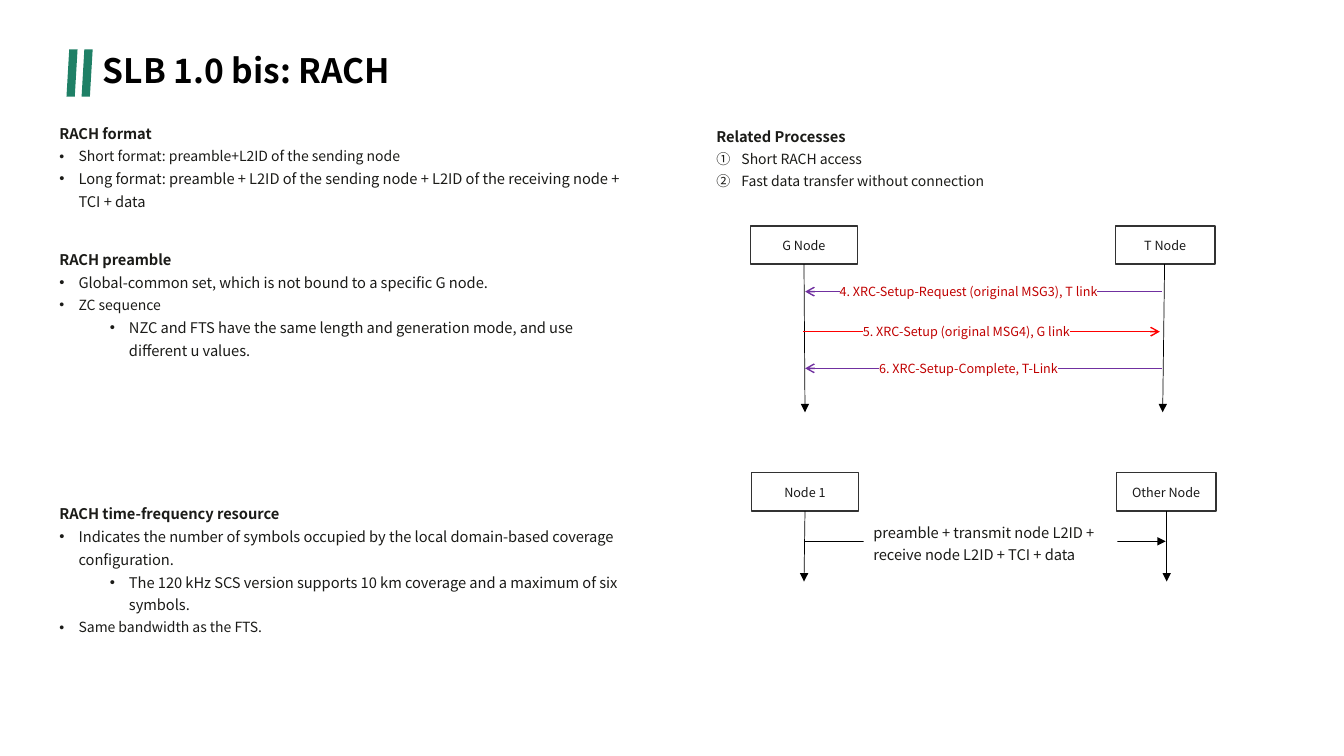
from lxml.etree import SubElement as Sub
from pptx import Presentation
from pptx.dml.color import RGBColor as RGB
from pptx.enum.shapes import MSO_CONNECTOR as LINK, MSO_SHAPE as KIND
from pptx.enum.text import MSO_ANCHOR as ANCHOR, MSO_AUTO_SIZE as AUTO, PP_ALIGN as ALIGN
from pptx.oxml.ns import qn
from pptx.util import Pt

FONT = "Noto Sans CJK SC"
GREEN = RGB(0x1F, 0x80, 0x66)
BLACK = RGB(0, 0, 0)
WHITE = RGB(0xFF, 0xFF, 0xFF)
INK = RGB(0x1B, 0x1B, 0x18)
GREY = RGB(0x32, 0x32, 0x32)
LABEL = RGB(0x19, 0x19, 0x19)
WINE = RGB(0xC0, 0, 0)
RED = RGB(0xFF, 0, 0)
PLUM = RGB(0x70, 0x30, 0xA0)
PITCH = 1.56

LEFT = [
    ("head", 10.5, 0, "RACH format"),
    ("dot", 10, 0, "Short format: preamble+L2ID of the sending node"),
    ("dot", 10.5, 0, "Long format: preamble + L2ID of the sending node + L2ID of the receiving node + TCI + data"),
    ("head", 10.5, 25, "RACH preamble"),
    ("dot", 10.5, 0, "Global-common set, which is not bound to a specific G node."),
    ("dot", 10, 0, "ZC sequence"),
    ("sub", 10.5, 0, "NZC and FTS have the same length and generation mode, and use different u values."),
    ("head", 10.5, 100, "RACH time-frequency resource"),
    ("dot", 10.5, 0, "Indicates the number of symbols occupied by the local domain-based coverage configuration."),
    ("sub", 10.5, 0, "The 120 kHz SCS version supports 10 km coverage and a maximum of six symbols."),
    ("dot", 10, 0, "Same bandwidth as the FTS."),
]
RIGHT = [
    ("head", 10.5, 0, "Related Processes"),
    ("num", 10, 0, "Short RACH access"),
    ("num", 10, 0, "Fast data transfer without connection"),
]
STYLES = {
    "head": (0, 0, 0, "buNone", {}),
    "dot": (0, 13.7, -13.7, "buChar", {"char": "•"}),
    "sub": (1, 49.7, -13.7, "buChar", {"char": "•"}),
    "num": (0, 18, -18, "buAutoNum", {"type": "circleNumDbPlain"}),
}
CALLS = [
    (47, "4. XRC-Setup-Request (original MSG3), T link", PLUM, 39, "headEnd"),
    (75.6, "5. XRC-Setup (original MSG4), G link", RED, 37.5, "tailEnd"),
    (101.8, "6. XRC-Setup-Complete, T-Link", PLUM, 39, "headEnd"),
]


def write(para, text, size=10.5, color=INK, bold=False, align=ALIGN.LEFT, pitch=None, before=0, mark=None):
    para.alignment = align
    para.space_before = Pt(before)
    if pitch:
        para.line_spacing = pitch
    run = para.add_run()
    run.text = text
    font = run.font
    font.name, font.size, font.bold = FONT, Pt(size), bold
    font.color.rgb = color
    if mark:
        glow = Sub(run._r.rPr, qn("a:highlight"))
        Sub(glow, qn("a:srgbClr"), val=str(mark))
        run._r.rPr.find(qn("a:solidFill")).addnext(glow)


def place(shape, left, top, width, height):
    shape.left, shape.top = Pt(left), Pt(top)
    shape.width, shape.height = Pt(width), Pt(height)


def frame(shape, inset=None, anchor=ANCHOR.TOP, wrap=True):
    body = shape.text_frame
    body.auto_size = AUTO.NONE
    body.word_wrap = wrap
    body.vertical_anchor = anchor
    if inset is not None:
        body.margin_left = body.margin_right = Pt(inset)
        body.margin_top = body.margin_bottom = Pt(inset)
    return body


def block(slide, kind, left, top, width, height, fill, line=None):
    shape = slide.shapes.add_shape(kind, Pt(left), Pt(top), Pt(width), Pt(height))
    shape.shadow.inherit = False
    shape.fill.solid()
    shape.fill.fore_color.rgb = fill
    if line:
        shape.line.color.rgb = line
        shape.line.width = Pt(1)
    else:
        shape.line.fill.background()
    return shape


def arrow(slide, start, end, color=BLACK, width=0.5, side="tailEnd", tip="triangle"):
    line = slide.shapes.add_connector(LINK.STRAIGHT, *map(Pt, start + end))
    line.line.color.rgb = color
    line.line.width = Pt(width)
    Sub(line.line._get_or_add_ln(), qn("a:" + side), type=tip)
    Sub(line._element.spPr, qn("a:effectLst"))


def header(slide, left, top, width, height):
    for step in range(2):
        block(slide, KIND.PARALLELOGRAM, left + 10.8 * step, top + 2.9, 7.9, 33.8, GREEN)
    title = slide.shapes.title
    place(title, left + 18.7, top, width - 18.7, height)
    body = frame(title, anchor=ANCHOR.MIDDLE)
    write(body.paragraphs[0], "SLB 1.0 bis: RACH", size=24, color=BLACK, bold=True, pitch=0.9)


def listing(holder, rows, left, top, width, height):
    place(holder, left, top, width, height)
    body = frame(holder)
    for spot, (style, size, before, text) in enumerate(rows):
        para = body.add_paragraph() if spot else body.paragraphs[0]
        level, margin, indent, tag, attrs = STYLES[style]
        para.level = level
        props = para._p.get_or_add_pPr()
        props.set("marL", str(Pt(margin)))
        props.set("indent", str(Pt(indent)))
        if style != "head":
            Sub(props, qn("a:buFont"), typeface=FONT if style == "num" else "Arial")
        Sub(props, qn("a:" + tag), **attrs)
        write(para, text, size=size, bold=style == "head", pitch=Pt(size * PITCH), before=before)


def nodes(slide, left, top, height, names, tracks):
    spots = ((0, 76.3), (260.6, 71.3))
    for name, (shift, width), (start, end) in zip(names, spots, tracks):
        box = block(slide, KIND.RECTANGLE, left + shift, top, width, 27.4, WHITE, GREY)
        body = frame(box, inset=0, anchor=ANCHOR.MIDDLE)
        write(body.paragraphs[0], name, size=9, color=LABEL, align=ALIGN.CENTER)
        arrow(slide, (left + start, top + 27.4), (left + end, top + height))


def access(slide, left, top, height):
    nodes(slide, left, top, height, ("G Node", "T Node"), ((38.2, 38.9), (295.9, 294.5)))
    for drop, text, color, shift, side in CALLS:
        start, level = left + shift, top + drop
        arrow(slide, (start, level), (start + 255, level), color, 1, side, "arrow")
        box = slide.shapes.add_textbox(Pt(start + 16.7), Pt(level - 7), Pt(200), Pt(14))
        body = frame(box, inset=0, anchor=ANCHOR.MIDDLE, wrap=False)
        write(body.paragraphs[0], text, size=9, color=WINE, align=ALIGN.CENTER, mark=WHITE)


def transfer(slide, left, top, height):
    nodes(slide, left, top, height, ("Node 1", "Other Node"), ((38.2, 37.5), (296.7, 296.7)))
    arrow(slide, (left + 38.2, top + 49), (left + 296, top + 49))
    note = block(slide, KIND.RECTANGLE, left + 80, top + 28.8, 181.4, 55.4, WHITE)
    write(frame(note).paragraphs[0], "preamble + transmit node L2ID + receive node L2ID + TCI + data",
          pitch=Pt(10.5 * PITCH))


def main():
    deck = Presentation()
    deck.slide_width, deck.slide_height = Pt(960.5), Pt(540)
    slide = deck.slides.add_slide(deck.slide_layouts[3])
    header(slide, 47.5, 32.4, 846.7, 38.9)
    listing(slide.placeholders[1], LEFT, 35.3, 82.1, 415.4, 375.8)
    listing(slide.placeholders[2], RIGHT, 504.7, 84.2, 265, 54)
    access(slide, 536.4, 161.3, 133.2)
    transfer(slide, 537.1, 337.7, 77.7)
    deck.save("out.pptx")


if __name__ == "__main__":
    main()
